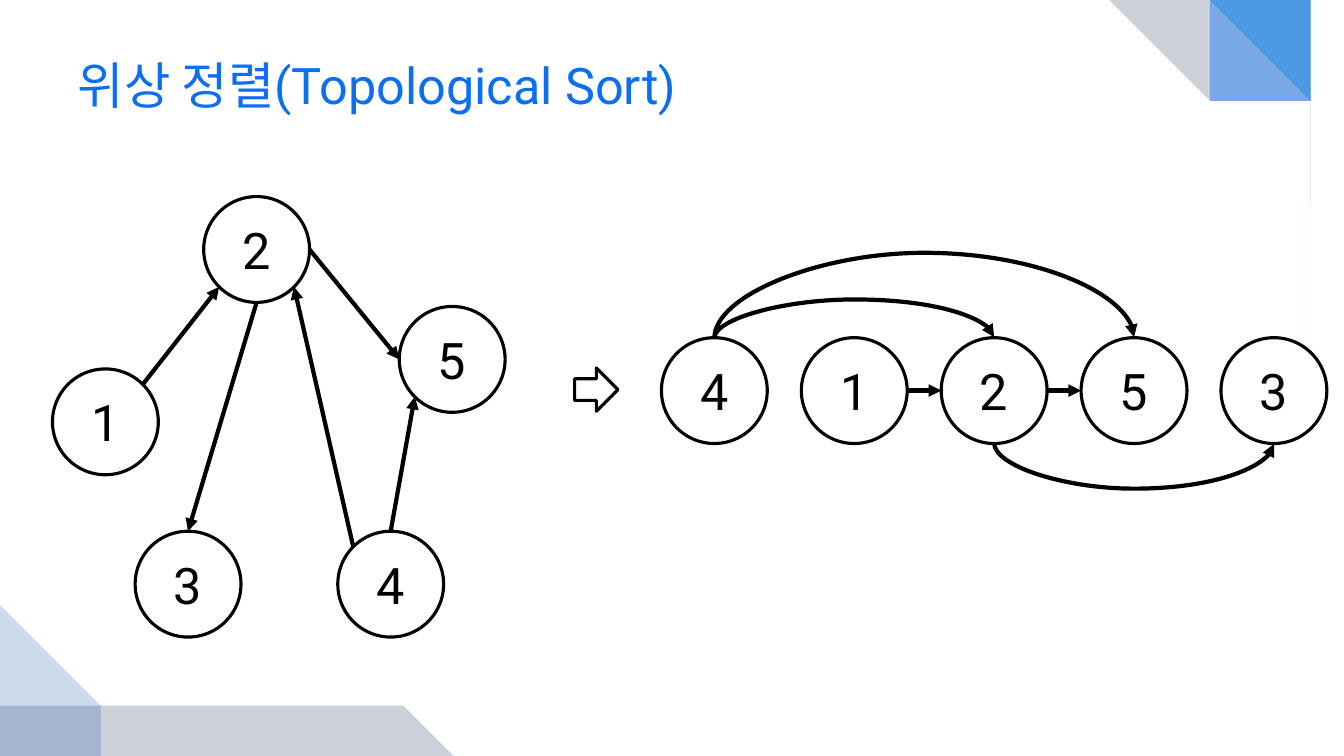
from math import cos, radians, sin

from lxml.etree import SubElement
from pptx import Presentation
from pptx.dml.color import RGBColor
from pptx.enum.shapes import MSO_CONNECTOR as Link, MSO_SHAPE as Preset
from pptx.enum.text import MSO_ANCHOR as Anchor, PP_ALIGN as Align
from pptx.oxml.ns import qn
from pptx.util import Inches, Pt

WIDTH, HEIGHT = 13.33, 7.5
FONT, TEXT_SIZE = "Roboto", 36
BLACK, WHITE, TITLE_BLUE = "000000", "FFFFFF", "0C6FF2"
TITLE = "위상 정렬(Topological Sort)"

SWOOSHES = [
    ("00B1E9", 45, [
        (13.33, 4.08), (13.33, 0), (11.89, 0), (11.98, 0.05), (12.1, 0.14),
        (12.2, 0.23), (12.31, 0.35), (12.43, 0.5), (12.53, 0.64), (12.63, 0.81),
        (12.72, 1), (12.82, 1.21), (12.91, 1.46), (13, 1.73), (13.08, 2.03),
        (13.15, 2.37), (13.21, 2.74), (13.27, 3.15), (13.31, 3.6)]),
    ("021741", 20, [
        (8.89, 0), (13.33, 0), (13.33, 2.15), (13.28, 2.02), (13.19, 1.84),
        (13.09, 1.69), (12.96, 1.52), (12.79, 1.34), (12.58, 1.15), (12.32, 0.95),
        (12.01, 0.76), (11.65, 0.58), (11.23, 0.42), (10.75, 0.27), (10.2, 0.15),
        (9.58, 0.06), (9.25, 0.02)]),
    ("247FF4", 49, [
        (8.89, 0), (13.33, 0), (13.33, 1.55), (13.28, 1.46), (13.14, 1.27),
        (13, 1.13), (12.84, 1), (12.64, 0.86), (12.39, 0.72), (12.1, 0.59),
        (11.75, 0.45), (11.35, 0.33), (10.88, 0.22), (10.35, 0.13), (9.75, 0.05),
        (9.42, 0.03)]),
    ("021741", 20, [
        (5, 7.5), (0, 7.5), (0, 6.08), (0.06, 6.16), (0.16, 6.28), (0.31, 6.41),
        (0.46, 6.52), (0.66, 6.65), (0.91, 6.77), (1.22, 6.9), (1.58, 7.02),
        (2, 7.14), (2.49, 7.25), (3.05, 7.34), (3.69, 7.42), (4.41, 7.47)]),
    ("084AA1", 20, [
        (0, 4.58), (0, 7.5), (1.48, 7.5), (1.35, 7.45), (1.21, 7.38), (1.07, 7.28),
        (0.95, 7.17), (0.82, 7.04), (0.69, 6.88), (0.56, 6.69), (0.43, 6.46),
        (0.31, 6.2), (0.21, 5.89), (0.12, 5.54), (0.05, 5.15), (0.02, 4.82)]),
]

DIAMETER = 1.05
GRAPH_NODES = {"1": (0.52, 3.66), "2": (2.02, 1.95), "3": (1.34, 5.27),
               "4": (3.35, 5.27), "5": (3.96, 3.04)}
GRAPH_EDGES = [("1", "top right", "2", "bottom left"),
               ("4", "top left", "2", "bottom right"),
               ("2", "right", "5", "left"),
               ("2", "bottom", "3", "top"),
               ("4", "top", "5", "bottom left")]

SORTED_ORDER = "41253"
ROW_FIRST, ROW_LAST, ROW_TOP = 6.56, 12.11, 3.35
ROW_EDGES = [("1", "right", "2", "left"), ("2", "right", "5", "left")]
ROW_ARCS = [("4", "2", "top", 0.39), ("2", "3", "bottom", 0.46), ("4", "5", "top", 0.86)]
ARC_DEPTH = 0.01

SIDE_ANGLES = {"right": 0, "bottom right": 45, "bottom": 90, "bottom left": 135,
               "left": 180, "top left": 225, "top": 270, "top right": 315}

prs = Presentation()
prs.slide_width, prs.slide_height = Inches(WIDTH), Inches(HEIGHT)
slide = prs.slides.add_slide(prs.slide_layouts[5])
shapes = slide.shapes


def color(hex_string):
    return RGBColor.from_string(hex_string)


def paint(shape, fill):
    shape.shadow.inherit = False
    shape.fill.solid()
    shape.fill.fore_color.rgb = color(fill)


def outline(shape):
    shape.line.color.rgb = color(BLACK)
    shape.line.width = Pt(2.25)


def write(shape, text, text_color, align):
    frame = shape.text_frame
    frame.text = text
    frame.vertical_anchor = Anchor.MIDDLE
    paragraph = frame.paragraphs[0]
    paragraph.alignment = align
    font = paragraph.runs[0].font
    font.name, font.size = FONT, Pt(TEXT_SIZE)
    font.color.rgb = color(text_color)


def add_swoosh(fill, opacity, points):
    builder = shapes.build_freeform(*points[0], scale=Inches(1))
    builder.add_line_segments(points[1:], close=True)
    swoosh = builder.convert_to_shape()
    paint(swoosh, fill)
    swoosh.line.fill.background()
    fill_color = swoosh.element.spPr.find(qn("a:solidFill"))[0]
    SubElement(fill_color, qn("a:alpha")).set("val", str(opacity * 1000))


def add_node(label, corner):
    node = shapes.add_shape(Preset.OVAL, *map(Inches, (*corner, DIAMETER, DIAMETER)))
    paint(node, WHITE)
    outline(node)
    write(node, label, BLACK, Align.CENTER)


def side_point(corner, side):
    angle, radius = radians(SIDE_ANGLES[side]), DIAMETER / 2
    return (corner[0] + radius * (1 + cos(angle)),
            corner[1] + radius * (1 + sin(angle)))


def add_arrow(kind, start, end):
    arrow = shapes.add_connector(kind, *map(Inches, (*start, *end)))
    arrow.line.color.rgb = color(BLACK)
    arrow.line.width = Pt(3)
    SubElement(arrow.line._get_or_add_ln(), qn("a:tailEnd")).set("type", "triangle")
    SubElement(arrow.element.spPr, qn("a:effectLst"))
    return arrow


def add_edges(nodes, edges):
    for source, source_side, target, target_side in edges:
        add_arrow(Link.STRAIGHT, side_point(nodes[source], source_side),
                  side_point(nodes[target], target_side))


def add_arc(start, end, side, rise):
    arc = add_arrow(Link.CURVE, start, end)
    span = end[0] - start[0]
    arc.left = Inches((start[0] + end[0] - ARC_DEPTH) / 2)
    arc.top = Inches(start[1] - span / 2)
    arc.width, arc.height = Inches(ARC_DEPTH), Inches(span)
    properties = arc.element.spPr
    frame = properties.find(qn("a:xfrm"))
    frame.set("rot", str((90 if side == "top" else 270) * 60000))
    frame.set("flipH", "1")
    if side == "top":
        frame.set("flipV", "1")
    geometry = properties.find(qn("a:prstGeom"))
    adjustments = geometry.find(qn("a:avLst"))
    if adjustments is None:
        adjustments = SubElement(geometry, qn("a:avLst"))
    bend = SubElement(adjustments, qn("a:gd"))
    bend.set("name", "adj1")
    bend.set("fmla", f"val {round(rise / ARC_DEPTH * 100000)}")


for swoosh_parts in SWOOSHES:
    add_swoosh(*swoosh_parts)

title = shapes.title
title.left, title.top, title.width, title.height = map(Inches, (0.67, 0.33, 12, 1.01))
write(title, TITLE, TITLE_BLUE, Align.LEFT)

row_step = (ROW_LAST - ROW_FIRST) / (len(SORTED_ORDER) - 1)
row_nodes = {label: (ROW_FIRST + row_step * place, ROW_TOP)
             for place, label in enumerate(SORTED_ORDER)}

for nodes, edges in [(GRAPH_NODES, GRAPH_EDGES), (row_nodes, ROW_EDGES)]:
    for label, corner in nodes.items():
        add_node(label, corner)
    add_edges(nodes, edges)

for source, target, side, rise in ROW_ARCS:
    add_arc(side_point(row_nodes[source], side), side_point(row_nodes[target], side),
            side, rise)

result_arrow = shapes.add_shape(Preset.DOWN_ARROW, *map(Inches, (5.7, 3.65, 0.43, 0.43)))
result_arrow.rotation = 270
paint(result_arrow, WHITE)
outline(result_arrow)

prs.save("out.pptx")
